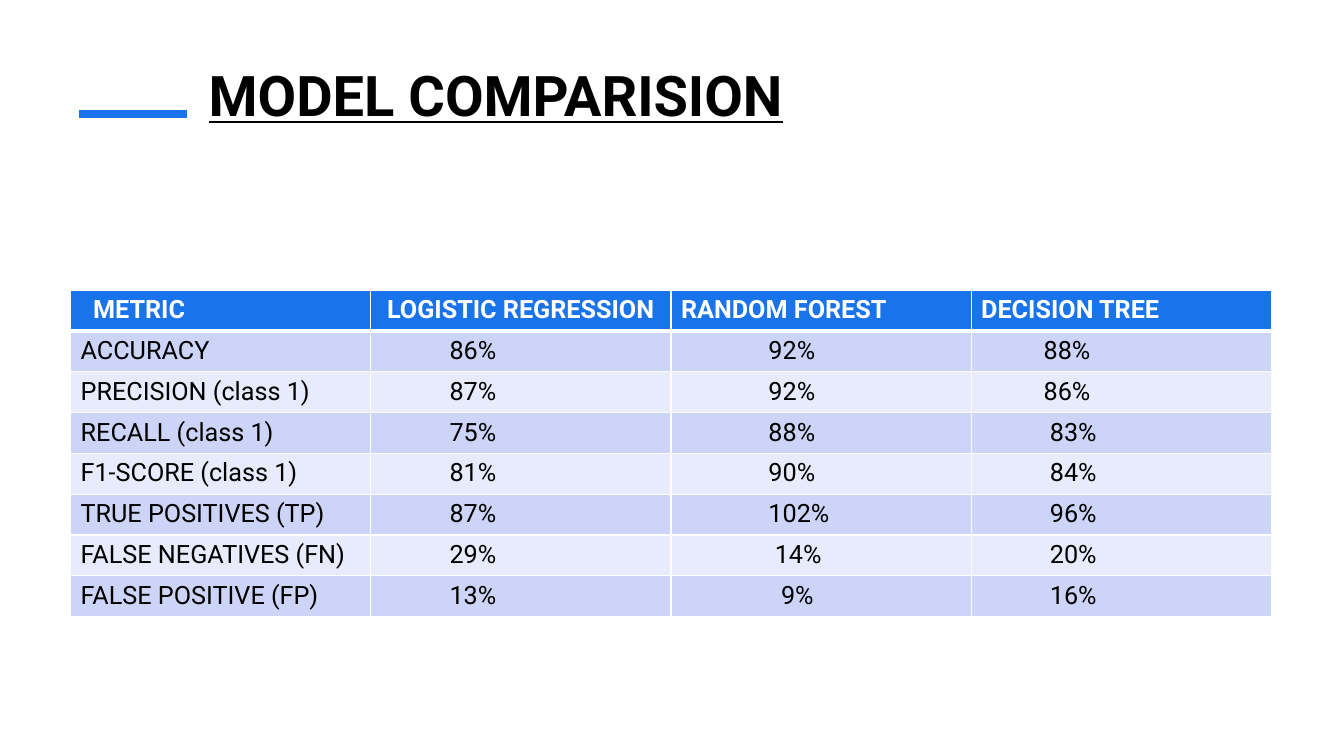
from lxml.etree import SubElement
from pptx import Presentation
from pptx.dml.color import RGBColor
from pptx.enum.shapes import MSO_CONNECTOR
from pptx.enum.text import MSO_ANCHOR, MSO_AUTO_SIZE, PP_ALIGN
from pptx.oxml.ns import qn
from pptx.util import Inches, Pt

BLUE = RGBColor(0x19, 0x73, 0xEB)
DARK_BAND = RGBColor(0xCC, 0xD5, 0xF7)
LIGHT_BAND = RGBColor(0xE8, 0xEB, 0xFB)
BLACK = RGBColor(0x00, 0x00, 0x00)
WHITE = RGBColor(0xFF, 0xFF, 0xFF)

INDENT_STEP = 0.062
HEADERS = ["METRIC", "LOGISTIC REGRESSION", "RANDOM FOREST", "DECISION TREE"]
HEADER_INDENTS = [2, 1, 0, 0]
METRICS = [
    (["ACCURACY", "86%", "92%", "88%"], [0, 11, 14, 10]),
    (["PRECISION (class 1)", "87%", "92%", "86%"], [0, 11, 14, 10]),
    (["RECALL (class 1)", "75%", "88%", "83%"], [0, 11, 14, 11]),
    (["F1-SCORE (class 1)", "81%", "90%", "84%"], [0, 11, 14, 11]),
    (["TRUE POSITIVES (TP)", "87%", "102%", "96%"], [0, 11, 14, 11]),
    (["FALSE NEGATIVES (FN)", "29%", "14%", "20%"], [0, 11, 15, 11]),
    (["FALSE POSITIVE (FP)", "13%", "9%", "16%"], [0, 11, 16, 11]),
]


class SlideBuilder:
    font_name = "Roboto"

    def __init__(self, slide):
        self.slide = slide

    def add_text(self, text_frame, text, color, **format_values):
        paragraph = text_frame.paragraphs[0]
        paragraph.alignment = PP_ALIGN.LEFT
        run = paragraph.add_run()
        run.text = text
        run.font.color.rgb = color
        for name, value in {"name": self.font_name, **format_values}.items():
            setattr(run.font, name, value)

    def title(self, text, left, top, width, height):
        shape = self.slide.shapes.title
        position = {"left": left, "top": top, "width": width, "height": height}
        for name, value in position.items():
            setattr(shape, name, Inches(value))
        frame_format = {
            "word_wrap": True,
            "auto_size": MSO_AUTO_SIZE.NONE,
            "vertical_anchor": MSO_ANCHOR.TOP,
            "margin_top": Inches(0.09),
        }
        for name, value in frame_format.items():
            setattr(shape.text_frame, name, value)
        self.add_text(shape.text_frame, text, BLACK, size=Pt(40), bold=True, underline=True)

    def line(self, left, right, y, color, width):
        connector = self.slide.shapes.add_connector(
            MSO_CONNECTOR.STRAIGHT, Inches(left), Inches(y), Inches(right), Inches(y)
        )
        connector.line.color.rgb = color
        connector.line.width = Pt(width)
        SubElement(connector._element.spPr, qn("a:effectLst"))

    def border(self, cell, side, width):
        properties = cell._tc.get_or_add_tcPr()
        line = SubElement(properties, qn(f"a:{side}"), w=str(Pt(width)))
        fill = SubElement(line, qn("a:solidFill"))
        SubElement(fill, qn("a:srgbClr"), val=str(WHITE))

    def cell(self, cell, text, indent, fill, color, bold, top_width, bottom_width):
        for side, width in zip(("lnL", "lnR", "lnT", "lnB"), (1, 1, top_width, bottom_width)):
            self.border(cell, side, width)
        cell.fill.solid()
        cell.fill.fore_color.rgb = fill
        cell.margin_left = Inches(0.1 + indent * INDENT_STEP)
        cell.margin_right = Inches(0.05)
        self.add_text(cell.text_frame, text, color, size=Pt(18), bold=bold)

    def table(self, rows, left, top, width, height):
        column_count = len(rows[0][0])
        table = self.slide.shapes.add_table(
            len(rows), column_count, Inches(left), Inches(top), Inches(width), Inches(height)
        ).table
        for row_index, (texts, indents) in enumerate(rows):
            is_header = row_index == 0
            band = DARK_BAND if row_index % 2 else LIGHT_BAND
            for column_index, (text, indent) in enumerate(zip(texts, indents)):
                self.cell(
                    table.cell(row_index, column_index), text, indent,
                    fill=BLUE if is_header else band,
                    color=WHITE if is_header else BLACK,
                    bold=is_header,
                    top_width=3 if row_index == 1 else 1,
                    bottom_width=3 if is_header else 1,
                )


def main():
    presentation = Presentation()
    presentation.slide_width = Inches(13.33)
    presentation.slide_height = Inches(7.5)
    builder = SlideBuilder(presentation.slides.add_slide(presentation.slide_layouts[5]))
    builder.line(0.78, 1.85, 1.13, BLUE, 6)
    builder.title("MODEL COMPARISION", 1.97, 0.51, 11.91, 1.2)
    builder.table([(HEADERS, HEADER_INDENTS), *METRICS], 0.7, 2.88, 11.91, 3.24)
    presentation.save("out.pptx")


if __name__ == "__main__":
    main()
